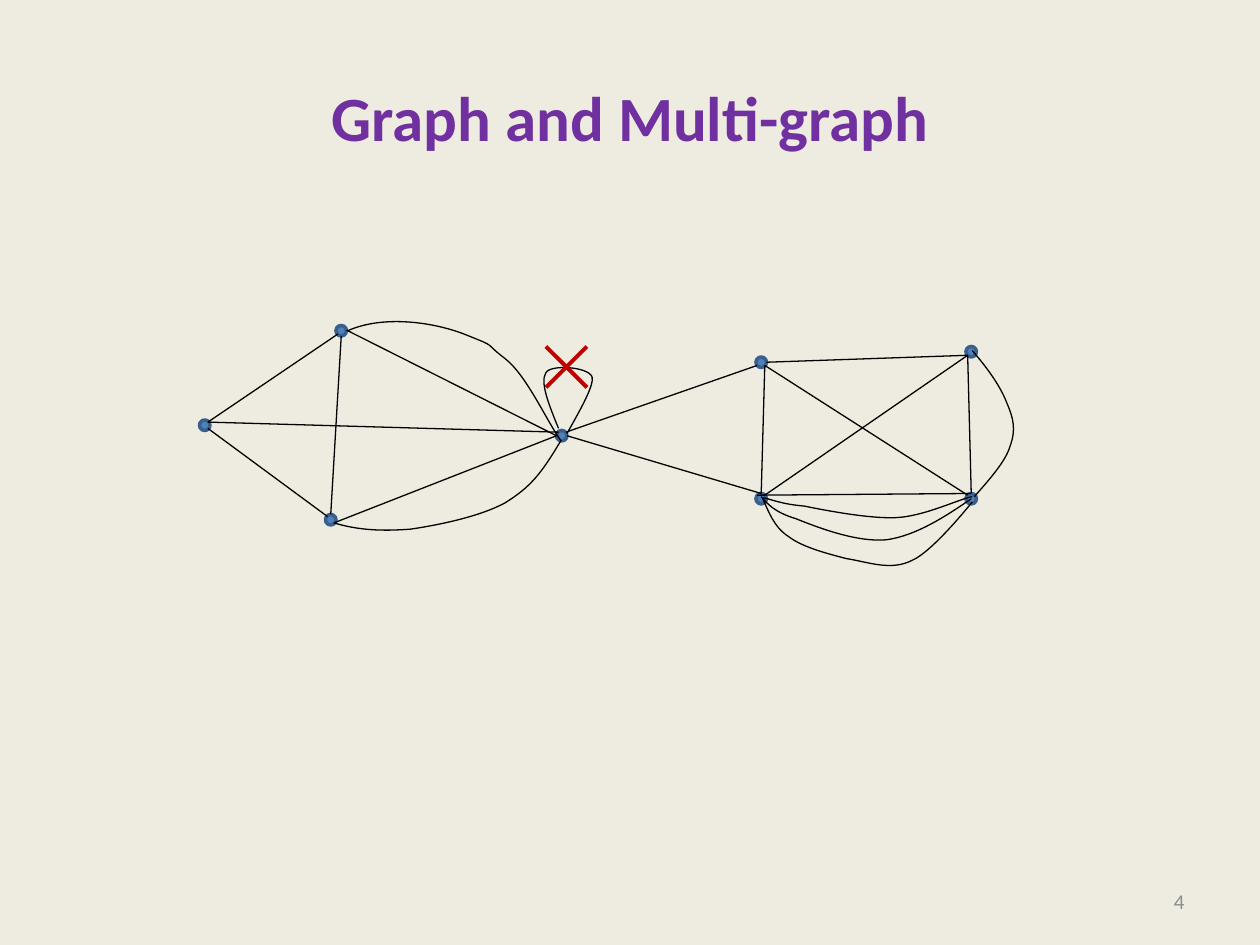
from dataclasses import dataclass
from math import cos, radians, sin

from lxml import etree
from pptx import Presentation
from pptx.dml.color import RGBColor
from pptx.enum.shapes import MSO_CONNECTOR, MSO_SHAPE
from pptx.enum.text import MSO_ANCHOR, PP_ALIGN
from pptx.oxml.ns import qn
from pptx.util import Inches, Pt

STRAIGHT = MSO_CONNECTOR.STRAIGHT
OVAL = MSO_SHAPE.OVAL
MIDDLE = MSO_ANCHOR.MIDDLE
CENTER, RIGHT = PP_ALIGN.CENTER, PP_ALIGN.RIGHT

COLUMNS, ROWS = 120, 90
CELL = Inches(10) // COLUMNS
BOUND_STEPS = 16

Point = tuple[float, float]
Segment = tuple[Point, Point, Point]


@dataclass(frozen=True)
class Theme:
    font: str = "Calibri"
    background: str = "EEECE1"
    title: str = "7030A0"
    number: str = "8C8C8C"
    node_fill: str = "4F81BD"
    node_line: str = "3A5F8C"
    edge: str = "000000"
    cross: str = "C00000"
    title_size: float = 36
    number_size: float = 12
    node_width: float = 2
    edge_width: float = 0.75
    cross_width: float = 2.25


@dataclass(frozen=True)
class Label:
    text: str
    column: float
    row: float
    columns: float
    rows: float
    size: float
    color: str
    align: PP_ALIGN
    bold: bool = False


@dataclass(frozen=True)
class Edge:
    start: Point
    end: Point


@dataclass(frozen=True)
class Curve:
    start: Point
    segments: tuple[Segment, ...]
    turn: float = 0
    pivot: Point = (0, 0)


THEME = Theme()

LABELS = (
    Label("Graph and Multi-graph", 6, 3.6, 108, 15, THEME.title_size, THEME.title, CENTER, True),
    Label("4", 86, 83.4, 28, 4.8, THEME.number_size, THEME.number, RIGHT),
)

NODES = ((32, 31), (31, 49), (53, 41), (72, 34), (19, 40), (72, 47), (92, 47), (92, 33))

WEST = (19.8, 40.2)
SOUTH = (31.8, 49.8)
HUB = (53, 41.5)
UPPER_LEFT = (72.84, 34.8)
UPPER_RIGHT = (92.16, 33.84)
LOWER_LEFT = (72.5, 47)
LOWER_RIGHT = (92.5, 47)

EDGES = (
    Edge(WEST, (32.2, 31.8)),
    Edge((19.8, 40.8), (31.2, 49.2)),
    Edge(SOUTH, HUB),
    Edge(HUB, (33, 31.44)),
    Edge((32.5, 32), (31.5, 49)),
    Edge(WEST, (53.2, 41.16)),
    Edge((73, 34.5), UPPER_RIGHT),
    Edge((72.12, 47.16), LOWER_RIGHT),
    Edge(UPPER_LEFT, LOWER_LEFT),
    Edge(UPPER_RIGHT, LOWER_RIGHT),
    Edge(UPPER_LEFT, (92.16, 47.16)),
    Edge(UPPER_RIGHT, (72.84, 47.16)),
    Edge((72.12, 34.8), (53.9, 41.16)),
    Edge(LOWER_LEFT, (54, 41.5)),
)

CROSS = (Edge((52, 33), (55.9, 36.9)), Edge((52, 36.9), (55.9, 33)))

CURVES = (
    Curve(SOUTH, (
        ((34.1, 50.5), (36.4, 50.6), (39.1, 50.4)),
        ((41.8, 50), (45.7, 49.2), (48.1, 47.9)),
        ((50.5, 46.4), (51.5, 45.2), (53.4, 42)),
    )),
    Curve((53.5, 42.1), (
        ((52.1, 40.2), (50.2, 35.8), (48.1, 34.2)),
        ((46, 32.6), (47.5, 33.2), (44.5, 32)),
        ((41.6, 30.8), (36.6, 30), (33.1, 31.6)),
    ), 216.2, (44.28, 35.46)),
    Curve((53.2, 40.8), (
        ((52.3, 38.6), (51.4, 36.4), (52, 35.5)),
        ((52.4, 34.7), (56, 34.9), (56.4, 35.9)),
        ((56.6, 36.7), (55.3, 39), (54, 41.3)),
    )),
    Curve((72.7, 47.4), (
        ((73.6, 47.6), (74.4, 48), (76.6, 48.2)),
        ((78.6, 48.6), (82.7, 49.4), (85.3, 49.3)),
        ((88, 49.2), (91.4, 47.5), (92.6, 47.3)),
    )),
    Curve((72.5, 47.3), (
        ((73.1, 48), (73.8, 48.8), (75.8, 49.4)),
        ((77.8, 50.2), (81.6, 51.7), (84.5, 51.4)),
        ((87.2, 51), (89.9, 49.3), (92.5, 47.5)),
    )),
    Curve((72.6, 47.4), (
        ((73.2, 48.7), (73.7, 50.2), (75.1, 51.1)),
        ((76.4, 52.1), (78.7, 52.7), (80.6, 53.2)),
        ((82.6, 53.5), (84.8, 54.4), (86.8, 53.4)),
        ((88.8, 52.6), (92.6, 47.8), (92.6, 47.8)),
    )),
    Curve((92.6, 33.4), (
        ((94, 35), (95.3, 36.8), (95.9, 38.4)),
        ((96.5, 39.8), (96.8, 40.9), (96.2, 42.5)),
        ((95.8, 43.9), (94.3, 45.6), (92.8, 47.3)),
    )),
)


def cells(*counts: float) -> list[int]:
    return [round(count * CELL) for count in counts]


def style_line(line, color: str, width: float) -> None:
    line.color.rgb = RGBColor.from_string(color)
    line.width = Pt(width)


def draw_label(page, label: Label) -> None:
    box = page.shapes.add_textbox(*cells(label.column, label.row, label.columns, label.rows))
    frame = box.text_frame
    frame.word_wrap = True
    frame.vertical_anchor = MIDDLE
    frame.text = label.text
    para = frame.paragraphs[0]
    para.alignment = label.align
    para.font.name = THEME.font
    para.font.size = Pt(label.size)
    para.font.bold = label.bold
    para.font.color.rgb = RGBColor.from_string(label.color)


def draw_node(page, column: float, row: float) -> None:
    node = page.shapes.add_shape(OVAL, *cells(column, row, 1, 1))
    node.shadow.inherit = False
    node.fill.solid()
    node.fill.fore_color.rgb = RGBColor.from_string(THEME.node_fill)
    style_line(node.line, THEME.node_line, THEME.node_width)


def draw_edge(page, edge: Edge, color: str, width: float) -> None:
    connector = page.shapes.add_connector(STRAIGHT, *cells(*edge.start, *edge.end))
    style_line(connector.line, color, width)
    etree.SubElement(connector._element.spPr, qn("a:effectLst"))


def unturned(point: Point, curve: Curve) -> list[int]:
    angle = radians(-curve.turn)
    across, down = point[0] - curve.pivot[0], point[1] - curve.pivot[1]
    return cells(curve.pivot[0] + across * cos(angle) - down * sin(angle),
                 curve.pivot[1] + across * sin(angle) + down * cos(angle))


def bezier(controls: list[list[int]], share: float) -> list[int]:
    rest = 1 - share
    weights = (rest**3, 3 * rest**2 * share, 3 * rest * share**2, share**3)
    return [round(sum(w * p[axis] for w, p in zip(weights, controls))) for axis in (0, 1)]


def draw_curve(page, curve: Curve) -> None:
    start = unturned(curve.start, curve)
    segments = [[unturned(point, curve) for point in segment] for segment in curve.segments]
    builder = page.shapes.build_freeform(*start)
    for segment in segments:
        bounds = [bezier([start, *segment], step / BOUND_STEPS) for step in range(1, BOUND_STEPS + 1)]
        builder.add_line_segments(bounds, close=False)
        start = segment[-1]
    outline = builder.convert_to_shape()
    trace = next(outline._element.iter(qn("a:path")))
    for straight in trace.findall(qn("a:lnTo")):
        trace.remove(straight)
    for segment in segments:
        bend = etree.SubElement(trace, qn("a:cubicBezTo"))
        for x, y in segment:
            etree.SubElement(bend, qn("a:pt"), x=str(x - outline.left), y=str(y - outline.top))
    outline.rotation = curve.turn
    outline.shadow.inherit = False
    outline.fill.background()
    style_line(outline.line, THEME.edge, THEME.edge_width)


def main() -> None:
    deck = Presentation()
    deck.slide_width, deck.slide_height = cells(COLUMNS, ROWS)
    page = deck.slides.add_slide(deck.slide_layouts[6])
    page.background.fill.solid()
    page.background.fill.fore_color.rgb = RGBColor.from_string(THEME.background)
    for label in LABELS:
        draw_label(page, label)
    for column, row in NODES:
        draw_node(page, column, row)
    for edge in EDGES:
        draw_edge(page, edge, THEME.edge, THEME.edge_width)
    for curve in CURVES:
        draw_curve(page, curve)
    for stroke in CROSS:
        draw_edge(page, stroke, THEME.cross, THEME.cross_width)
    deck.save("out.pptx")


if __name__ == "__main__":
    main()
